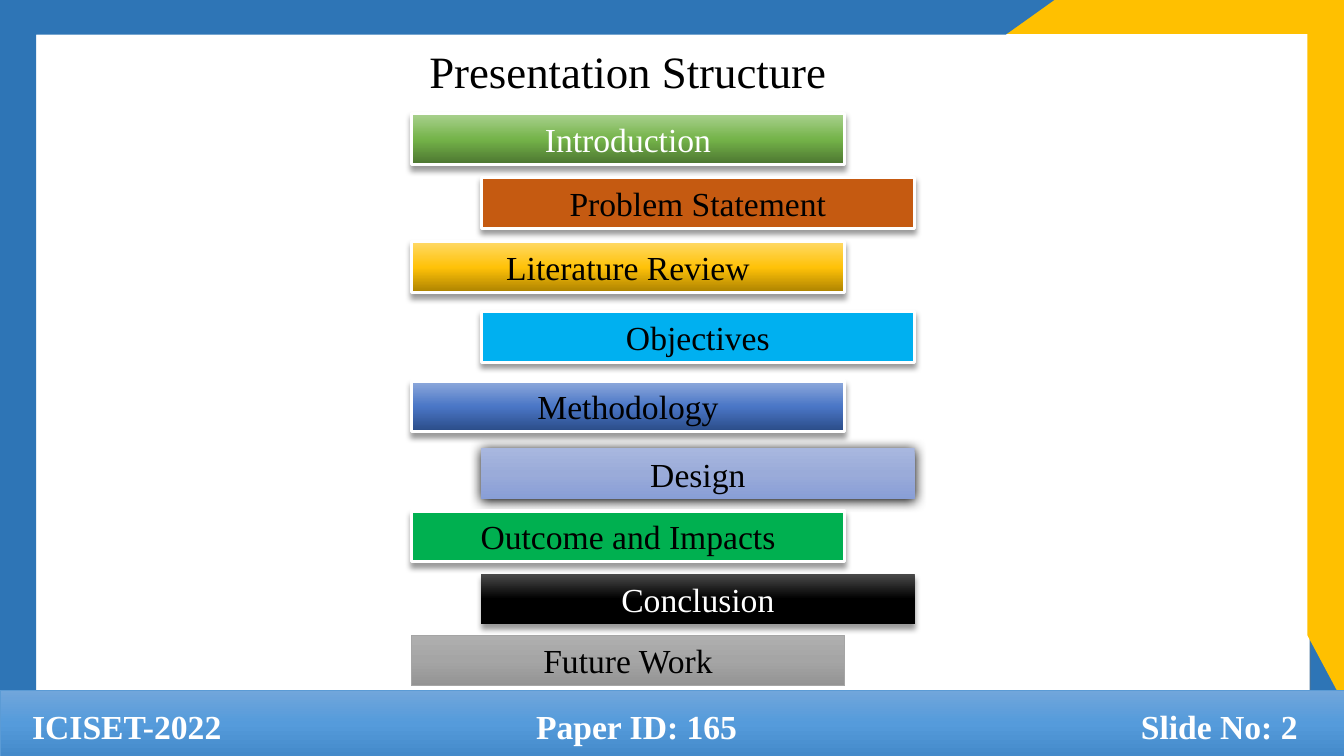
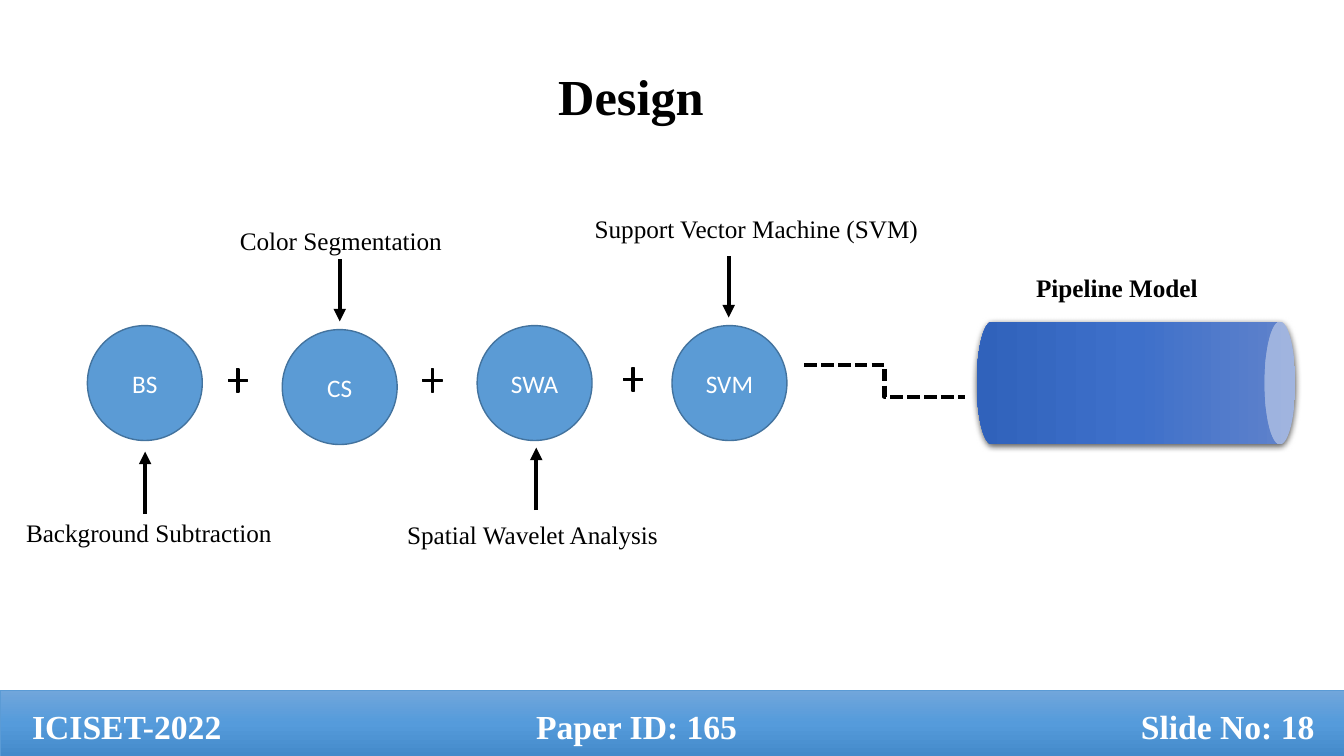
from copy import deepcopy

from lxml.etree import SubElement
from pptx import Presentation
from pptx.dml.color import RGBColor
from pptx.enum.dml import MSO_LINE
from pptx.enum.shapes import MSO_CONNECTOR, MSO_SHAPE
from pptx.enum.text import MSO_ANCHOR, PP_ALIGN
from pptx.oxml.ns import qn
from pptx.util import Inches, Pt

C = {
    "black": "000000", "white": "FFFFFF", "frame": "2E75B6", "gold": "FFC000",
    "outline": "43739E", "circle": "5B9BD5", "orange": "C55A11",
    "sky": "00B0F0", "green": "00B050", "gray": "A5A5A5",
}
# Gradients run from top to bottom
GRADIENTS = {
    "leaf": ("A9D18E", "74B349", "4B7430"),
    "amber": ("FFD966", "FFC208", "AB8100"),
    "royal": ("8FAADC", "4A76C6", "2A4B86"),
    "lilac": ("A8B7DF", "9AABD9", "889ED7"),
    "coal": ("4B4B4B", "000000", "000000"),
    "steel": ("AFAFAF", "A5A5A5", "939393"),
    "footer": ("71A6DB", "559BDB", "448ACA"),
    "pipe": ("6183CB", "3E70CA", "3062BB"),
}
# Shadows: opacity in percent, blur and distance in points
SOFT, GLOW, PIPE_SHADOW = (40, 4, 3), (100, 8.5, 1), (63, 4.5, 1.5)
SERIF = "Times New Roman"

prs = Presentation()
prs.slide_width, prs.slide_height = Inches(13.33), Inches(7.5)
# The grid has 100 columns and 100 rows
COL, ROW = prs.slide_width / 100, prs.slide_height / 100


def add_box(s, kind, grid, fill, line=None, width=1, shadow=None):
    """Place a preset shape on the grid with a solid or gradient fill."""
    x, y, w, h = grid
    sp = s.shapes.add_shape(kind, int(x * COL), int(y * ROW), int(w * COL), int(h * ROW))
    sp.shadow.inherit = False
    if fill in GRADIENTS:
        sp.fill.gradient()
        sp.fill.gradient_angle = 270
        stops = sp.element.spPr.find(".//" + qn("a:gsLst"))
        stops.append(deepcopy(stops[-1]))
        for i, (stop, color) in enumerate(zip(sp.fill.gradient_stops, GRADIENTS[fill])):
            stop.position = i / 2
            stop.color.rgb = RGBColor.from_string(color)
    else:
        sp.fill.solid()
        sp.fill.fore_color.rgb = RGBColor.from_string(C[fill])
    if line:
        sp.line.color.rgb = RGBColor.from_string(C[line])
        sp.line.width = Pt(width)
    else:
        sp.line.fill.background()
    if shadow:
        opacity, blur, dist = shadow
        effects = sp.element.spPr.find(qn("a:effectLst"))
        outer = SubElement(effects, qn("a:outerShdw"), blurRad=str(Pt(blur)),
                           dist=str(Pt(dist)), dir="5400000", algn="t", rotWithShape="0")
        color = SubElement(outer, qn("a:srgbClr"), val=C["black"])
        SubElement(color, qn("a:alpha"), val=str(opacity * 1000))
    return sp


def add_text(s, grid, text, size, color="black", bold=False, align=PP_ALIGN.LEFT,
             font=SERIF, sp=None, tabs=(), wrap=True):
    """Write one paragraph into sp, or into a new text box on the grid."""
    if sp is None:
        x, y, w, h = grid
        sp = s.shapes.add_textbox(int(x * COL), int(y * ROW), int(w * COL), int(h * ROW))
    tf = sp.text_frame
    tf.word_wrap = wrap
    p = tf.paragraphs[0]
    p.text = text
    p.alignment = align
    if tabs:
        stops = SubElement(p._p.get_or_add_pPr(), qn("a:tabLst"))
        for col in tabs:
            SubElement(stops, qn("a:tab"), pos=str(int(col * COL)), algn="l")
    p.font.size, p.font.bold, p.font.name = Pt(size), bold, font
    p.font.color.rgb = RGBColor.from_string(C[color])
    return sp


structure, design = [prs.slides.add_slide(prs.slide_layouts[6]) for _ in range(2)]

# Structure: staggered section bars
BARS = [
    ("Introduction", 15.07, "leaf", "white", "white", 2.25, SOFT),
    ("Problem Statement", 23.47, "orange", "black", "white", 2.25, SOFT),
    ("Literature Review", 32, "amber", "black", "white", 2.25, SOFT),
    ("Objectives", 41.2, "sky", "black", "white", 2.25, SOFT),
    ("Methodology", 50.4, "royal", "black", "white", 2.25, SOFT),
    ("Design", 59.33, "lilac", "black", None, 0, GLOW),
    ("Outcome and Impacts", 67.6, "green", "black", "white", 2.25, SOFT),
    ("Conclusion", 75.87, "coal", "white", None, 0, SOFT),
    ("Future Work", 84, "steel", "black", "gray", 0.5, None),
]
for i, (text, y, fill, color, line, width, shadow) in enumerate(BARS):
    grid = (30.6 + 5.2 * (i % 2), y, 32.25, 6.73)
    sp = add_box(structure, MSO_SHAPE.RECTANGLE, grid, fill, line, width, shadow)
    add_text(structure, grid, text, 24, color, align=PP_ALIGN.CENTER, sp=sp)

# Structure: frame around the slide
add_box(structure, MSO_SHAPE.RECTANGLE, (0, 96, 87.6, 3.6), "frame", "outline")
corner = add_box(structure, MSO_SHAPE.HALF_FRAME, (77.2, 79.2, 22.8, 20.8), "frame", "outline")
corner.rotation = 180
gold = add_box(structure, MSO_SHAPE.HALF_FRAME, (72, 0, 28, 93.07), "gold")
gold.element.spPr.find(qn("a:xfrm")).set("flipH", "1")
blue = add_box(structure, MSO_SHAPE.HALF_FRAME, (0, 0, 78.45, 99.6), "frame")
for sp, thickness in ((corner, (0.196, 0.215)), (gold, (0.09, 0.097)), (blue, (0.046, 0.048))):
    sp.adjustments[0], sp.adjustments[1] = thickness

# Design: circles, each with its label and arrow (column, start row, end row)
STEPS = [
    ("BS", 43.07, "Background Subtraction", (1.2, 67.73, 22, 5.33), (10.8, 68, 59.73)),
    ("CS", 43.6, "Color Segmentation", (17.1, 29.2, 22, 5.33), (25.28, 34.27, 42.53)),
    ("SWA", 43.07, "Spatial Wavelet Analysis", (29.55, 68, 22, 5.33), (39.9, 67.47, 59.2)),
    ("SVM", 43.07, "Support Vector Machine (SVM)", (43.5, 27.6, 26.2, 5.33), (54.22, 33.87, 42)),
]
arrows = []
for i, (name, y, label, label_grid, (x, start, end)) in enumerate(STEPS):
    grid = (6.5 + 14.5 * i, y, 8.55, 15.2)
    sp = add_box(design, MSO_SHAPE.OVAL, grid, "circle", "outline")
    add_text(design, grid, name, 18, "white", align=PP_ALIGN.CENTER, font="Calibri", sp=sp)
    sp.text_frame.vertical_anchor = MSO_ANCHOR.MIDDLE
    add_text(design, label_grid, label, 18)
    arrows.append(design.shapes.add_connector(
        MSO_CONNECTOR.STRAIGHT, int(x * COL), int(start * ROW), int(x * COL), int(end * ROW)))

# Design: plus signs between the circles
for x, y in ((16.73, 48.27), (31.2, 48.27), (46.13, 48.13)):
    plus = add_box(design, MSO_SHAPE.MATH_PLUS, (x, y, 1.95, 4.13), "black", "black")
    plus.adjustments[0] = 0.088

# Design: pipeline and its dashed link
pipe = add_box(design, MSO_SHAPE.CAN, (79.95, 29.6, 9.15, 42.13), "pipe", shadow=PIPE_SHADOW)
pipe.rotation = 90
add_text(design, (76.35, 35.33, 15, 5.33), "Pipeline Model", 18, bold=True)
link = design.shapes.add_connector(
    MSO_CONNECTOR.ELBOW, int(59.85 * COL), int(48.27 * ROW), int(71.78 * COL), int(52.47 * ROW))
for line in arrows + [link]:
    line.line.color.rgb = RGBColor.from_string(C["black"])
    line.line.width = Pt(3)
    SubElement(line.element.spPr, qn("a:effectLst"))
link.line.dash_style = MSO_LINE.SQUARE_DOT
for arrow in arrows:
    SubElement(arrow.line._get_or_add_ln(), qn("a:tailEnd"), type="triangle")

# Titles and footers
for s, title, grid, size, bold, number in (
    (structure, "Presentation Structure", (31.05, 5.07, 31.35, 8.53), 32, False, 2),
    (design, "Design", (31, 8, 31.9, 9.47), 36, True, 18),
):
    add_text(s, grid, title, size, bold=bold, align=PP_ALIGN.CENTER, wrap=False)
    add_box(s, MSO_SHAPE.RECTANGLE, (0, 91.33, 100, 8.67), "footer", "circle", 0.5)
    add_text(s, (1.65, 92.67, 98.35, 6.67), f"ICISET-2022\tPaper ID: 165\tSlide No: {number}",
             24, "white", bold=True, tabs=(37.5, 82.5))

prs.save("out.pptx")
